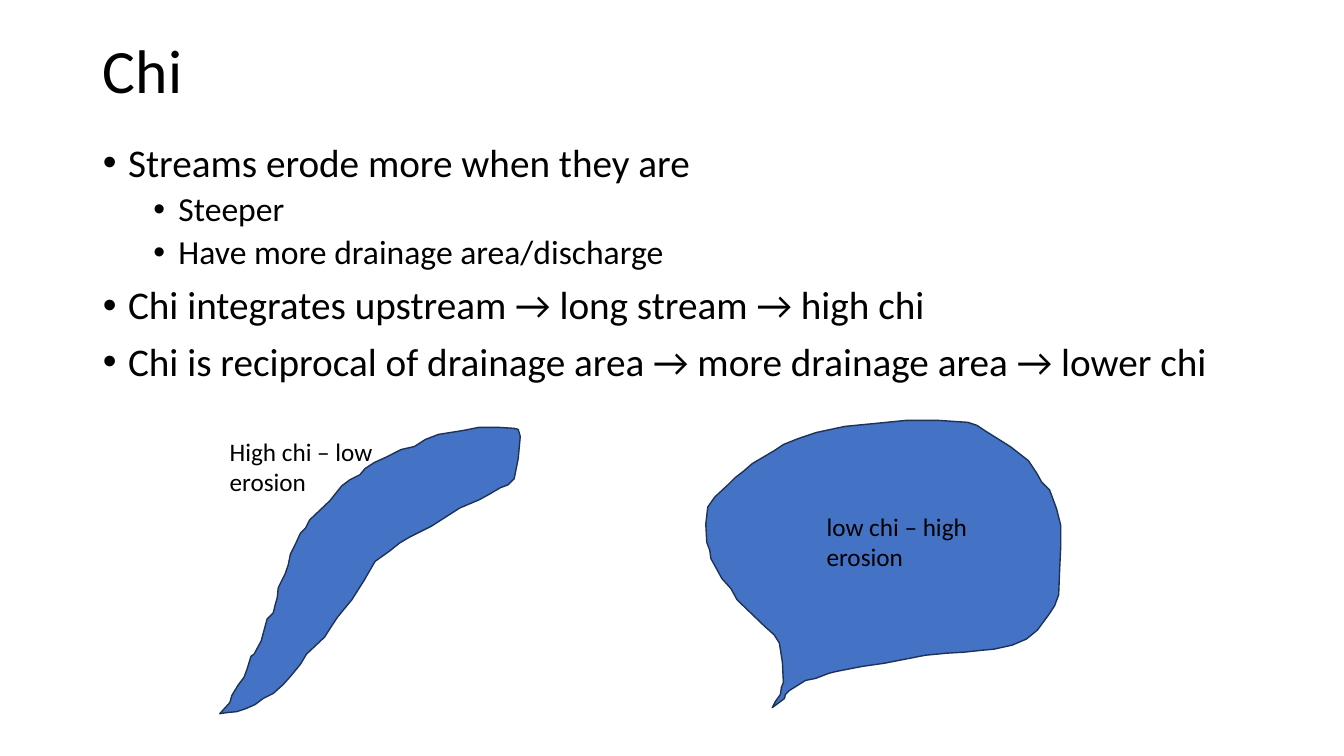
from lxml.etree import SubElement
from pptx import Presentation
from pptx.dml.color import RGBColor as Rgb
from pptx.enum.text import MSO_ANCHOR as Anchor, MSO_AUTO_SIZE as AutoSize, PP_ALIGN as Align
from pptx.oxml.ns import qn
from pptx.util import Emu, Pt

PX = 9144  # 100 px to the inch
COLOURS = {"text": "000000", "basin": "4472C4", "outline": "1E3256"}


def colour(name):
    return Rgb.from_string(COLOURS[name])


def write(para, text, size=18, font="Calibri", fill="text", spacing=1.0, before=0):
    """Put formatted text into a paragraph."""
    para.alignment = Align.LEFT
    para.line_spacing = spacing
    para.space_before = Pt(before)
    span = para.add_run()
    span.text = text
    span.font.name = font
    span.font.size = Pt(size)
    span.font.color.rgb = colour(fill)


class SlideBuilder:
    LEVELS = [dict(size=28, before=10, indent=25), dict(size=24, before=5, indent=75)]
    HANGING = 25

    def __init__(self, deck):
        self.page = deck.slides.add_slide(deck.slide_layouts[1])

    def place(self, box, left, top, width, height):
        box.left, box.top, box.width, box.height = (
            Emu(n * PX) for n in (left, top, width, height))

    def title(self, text, *bounds):
        box = self.page.shapes.title
        self.place(box, *bounds)
        box.text_frame.vertical_anchor = Anchor.MIDDLE
        write(box.text_frame.paragraphs[0], text, size=44, spacing=0.9)

    def bullets(self, items, *bounds):
        box = self.page.placeholders[1]
        self.place(box, *bounds)
        frame = box.text_frame
        frame.auto_size = AutoSize.NONE
        for index, (level, text) in enumerate(items):
            para = frame.add_paragraph() if index else frame.paragraphs[0]
            para.level = level
            style = self.LEVELS[level]
            props = para._p.get_or_add_pPr()
            props.set("marL", str(style["indent"] * PX))
            props.set("indent", str(-self.HANGING * PX))
            SubElement(props, qn("a:buFont")).set("typeface", "Arial")
            SubElement(props, qn("a:buChar")).set("char", "•")
            write(para, text, size=style["size"], spacing=0.9,
                  before=style["before"] if index else 0)

    def basin(self, points):
        builder = self.page.shapes.build_freeform(*points[0], scale=PX)
        builder.add_line_segments(points[1:], close=True)
        shape = builder.convert_to_shape()
        shape.shadow.inherit = False
        shape.fill.solid()
        shape.fill.fore_color.rgb = colour("basin")
        shape.line.color.rgb = colour("outline")
        shape.line.width = Pt(1)

    def label(self, text, *bounds):
        box = self.page.shapes.add_textbox(*(Emu(n * PX) for n in bounds))
        box.text_frame.word_wrap = True
        box.text_frame.auto_size = AutoSize.SHAPE_TO_FIT_TEXT
        write(box.text_frame.paragraphs[0], text)


# Basin outlines, in px
LONG_BASIN = [
    (218, 708), (228, 697), (230, 690), (236, 680), (242, 672), (245, 664), (249, 651),
    (252, 649), (259, 636), (262, 625), (265, 614), (271, 608), (273, 600), (275, 593),
    (276, 583), (283, 569), (286, 560), (288, 550), (293, 540), (298, 529), (303, 524),
    (307, 516), (327, 497), (339, 482), (347, 476), (357, 471), (362, 465), (371, 459),
    (382, 454), (398, 446), (411, 443), (422, 436), (435, 431), (460, 427), (475, 424),
    (495, 424), (510, 425), (514, 426), (516, 433), (514, 455), (510, 475), (504, 481),
    (496, 484), (486, 490), (475, 496), (456, 504), (442, 513), (428, 522), (406, 533),
    (396, 539), (386, 547), (372, 557), (361, 576), (349, 595), (335, 612), (329, 621),
    (322, 632), (304, 649), (298, 659), (289, 670), (281, 679), (271, 688), (261, 693),
    (253, 699), (244, 703), (235, 706), (225, 707),
]
WIDE_BASIN = [
    (769, 696), (774, 689), (775, 682), (777, 677), (776, 657), (773, 638), (768, 630),
    (758, 621), (731, 595), (725, 584), (716, 574), (705, 554), (704, 546), (701, 538),
    (700, 520), (702, 503), (709, 493), (722, 481), (729, 474), (738, 467), (746, 460),
    (768, 447), (777, 441), (792, 435), (810, 429), (838, 423), (869, 420), (899, 417),
    (930, 417), (960, 419), (969, 422), (978, 428), (1002, 443), (1020, 457), (1028, 469),
    (1033, 478), (1041, 486), (1048, 505), (1052, 521), (1052, 543), (1051, 565),
    (1050, 590), (1046, 601), (1040, 610), (1029, 625), (1018, 634), (1004, 640),
    (986, 644), (975, 645), (956, 647), (939, 648), (918, 650), (877, 658), (856, 661),
    (830, 666), (822, 668), (809, 673), (799, 675), (783, 685), (779, 689), (778, 693),
    (766, 702),
]


def main():
    deck = Presentation()
    deck.slide_width, deck.slide_height = Emu(1333 * PX), Emu(750 * PX)
    slide = SlideBuilder(deck)

    # Title and list
    slide.title("Chi", 92, 0, 1150, 145)
    slide.bullets([
        (0, "Streams erode more when they are"),
        (1, "Steeper"),
        (1, "Have more drainage area/discharge"),
        (0, "Chi integrates upstream → long stream → high chi"),
        (0, "Chi is reciprocal of drainage area → more drainage area → lower chi"),
    ], 92, 137, 1150, 476)

    # Drainage basins
    for outline in (LONG_BASIN, WIDE_BASIN):
        slide.basin(outline)

    # Basin labels
    slide.label("High chi – low erosion", 218, 428, 196, 71)
    slide.label("low chi – high erosion", 810, 502, 196, 71)

    deck.save("out.pptx")


if __name__ == "__main__":
    main()
